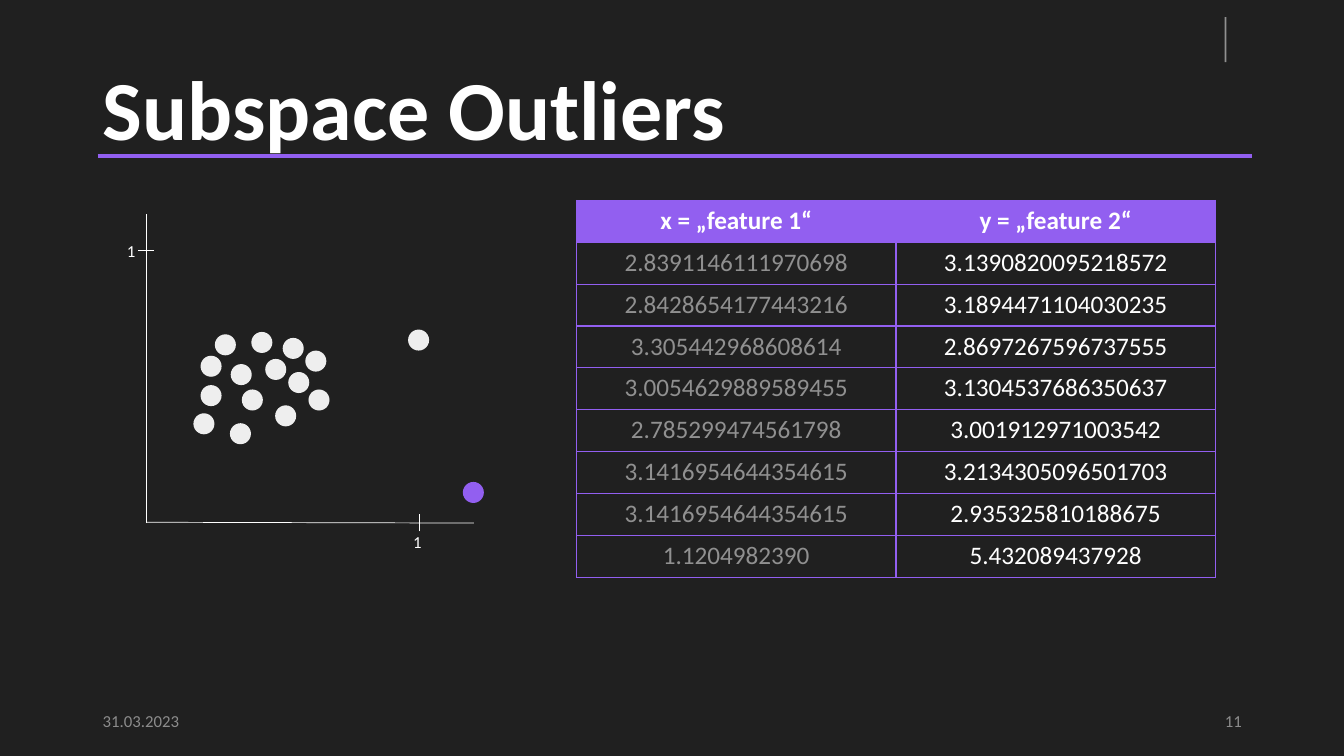
from lxml.etree import SubElement
from pptx import Presentation
from pptx.dml.color import RGBColor
from pptx.enum.shapes import MSO_CONNECTOR as Connector, MSO_SHAPE as Preset
from pptx.enum.text import MSO_ANCHOR as Anchor, PP_ALIGN as Align
from pptx.oxml.ns import qn
from pptx.util import Cm, Pt

DARK = RGBColor(0x20, 0x20, 0x20)
PURPLE = RGBColor(0x92, 0x5F, 0xF0)
WHITE = RGBColor(0xFF, 0xFF, 0xFF)
PALE = RGBColor(0xEE, 0xEE, 0xEE)
GRAY = RGBColor(0x90, 0x90, 0x90)
FOOTER_GRAY = RGBColor(0x8C, 0x8C, 0x8C)

# Content
TITLE = "Subspace Outliers"
ROWS = [
    ("x = „feature 1“", "y = „feature 2“"),
    ("2.8391146111970698", "3.1390820095218572"),
    ("2.8428654177443216", "3.1894471104030235"),
    ("3.305442968608614", "2.8697267596737555"),
    ("3.0054629889589455", "3.1304537686350637"),
    ("2.785299474561798", "3.001912971003542"),
    ("3.1416954644354615", "3.2134305096501703"),
    ("3.1416954644354615", "2.935325810188675"),
    ("1.1204982390", "5.432089437928"),
]
# Dot centres in cm
INLIERS = [
    (10.55, 8.57), (6.36, 10.08), (7.96, 9.1), (5.14, 10.68), (6.06, 10.93),
    (6.95, 9.31), (7.53, 9.64), (6.08, 9.44), (5.32, 9.23), (6.6, 8.63),
    (5.68, 8.69), (7.2, 10.48), (7.39, 8.78), (8.04, 10.08), (5.32, 9.97),
]
OUTLIER = (11.93, 12.41)
DOT_SIZE = 0.53
# Start x, start y, end x, end y in cm, then colour and width in points
LINES = [
    (2.46, 3.94, 31.55, 3.94, PURPLE, 3),
    (11.94, 13.18, 3.68, 13.16, WHITE, 0.5),
    (3.68, 13.18, 3.68, 5.38, WHITE, 0.5),
    (10.57, 13.39, 10.57, 12.95, WHITE, 0.5),
    (3.48, 6.32, 3.89, 6.32, WHITE, 0.5),
]
# Text, left, top, width, height in cm, colour, alignment, anchor
LABELS = [
    ("1", 10.16, 13.28, 0.61, 0.76, WHITE, Align.LEFT, Anchor.TOP),
    ("1", 2.95, 5.94, 0.61, 0.76, WHITE, Align.LEFT, Anchor.TOP),
    ("31.03.2023", 2.34, 17.65, 7.62, 1.02, FOOTER_GRAY, Align.LEFT, Anchor.MIDDLE),
    ("11", 23.93, 17.65, 7.62, 1.02, FOOTER_GRAY, Align.RIGHT, Anchor.MIDDLE),
]


def write(frame, text, size, color, align=Align.LEFT, bold=False):
    para = frame.paragraphs[0]
    para.alignment = align
    span = para.add_run()
    span.text = text
    for name, value in {"name": "Calibri", "size": Pt(size), "bold": bold}.items():
        setattr(span.font, name, value)
    span.font.color.rgb = color
    return para


def add_filled(page, preset, left, top, width, height, color):
    shape = page.shapes.add_shape(preset, Cm(left), Cm(top), Cm(width), Cm(height))
    shape.shadow.inherit = False
    shape.fill.solid()
    shape.fill.fore_color.rgb = color
    shape.line.fill.background()


def add_dot(page, center, color):
    left, top = (middle - DOT_SIZE / 2 for middle in center)
    add_filled(page, Preset.OVAL, left, top, DOT_SIZE, DOT_SIZE, color)


def add_line(page, x1, y1, x2, y2, color, width):
    line = page.shapes.add_connector(Connector.STRAIGHT, Cm(x1), Cm(y1), Cm(x2), Cm(y2))
    line.line.color.rgb = color
    line.line.width = Pt(width)
    SubElement(line._element.spPr, qn("a:effectLst"))


def add_borders(cell, color):
    properties = cell._tc.get_or_add_tcPr()
    for side in ("a:lnL", "a:lnR", "a:lnT", "a:lnB"):
        border = SubElement(properties, qn(side), w=str(Pt(1)))
        fill = SubElement(border, qn("a:solidFill"))
        SubElement(fill, qn("a:srgbClr"), val=str(color))


def add_feature_table(page):
    table = page.shapes.add_table(
        len(ROWS), 2, Cm(14.53), Cm(5.05), Cm(16.1), Cm(9.5)).table
    for row, values in enumerate(ROWS):
        for column, value in enumerate(values):
            cell = table.cell(row, column)
            add_borders(cell, PURPLE)
            header = row == 0
            if header:
                cell.fill.solid()
                cell.fill.fore_color.rgb = PURPLE
            else:
                cell.fill.background()
            color = WHITE if header or column == 1 else GRAY
            write(cell.text_frame, value, 18, color, Align.CENTER, header)


def main():
    deck = Presentation()
    deck.slide_width, deck.slide_height = Cm(33.87), Cm(19.05)
    page = deck.slides.add_slide(deck.slide_layouts[5])
    page.background.fill.solid()
    page.background.fill.fore_color.rgb = DARK

    # Title and corner bar
    add_filled(page, Preset.RECTANGLE, 30.86, 0.43, 0.05, 1.14, GRAY)
    title = page.shapes.title
    title.left, title.top, title.width, title.height = Cm(2.34), Cm(1.02), Cm(29.21), Cm(3.68)
    title.text_frame.vertical_anchor = Anchor.MIDDLE
    write(title.text_frame, TITLE, 60, WHITE, bold=True).line_spacing = 0.9

    # Scatter plot and title rule
    for center in INLIERS:
        add_dot(page, center, PALE)
    for line in LINES:
        add_line(page, *line)
    add_dot(page, OUTLIER, PURPLE)

    # Tick labels and footer
    for text, left, top, width, height, color, align, anchor in LABELS:
        box = page.shapes.add_textbox(Cm(left), Cm(top), Cm(width), Cm(height))
        box.text_frame.word_wrap = True
        box.text_frame.vertical_anchor = anchor
        write(box.text_frame, text, 12, color, align)

    add_feature_table(page)
    deck.save("out.pptx")


if __name__ == "__main__":
    main()
